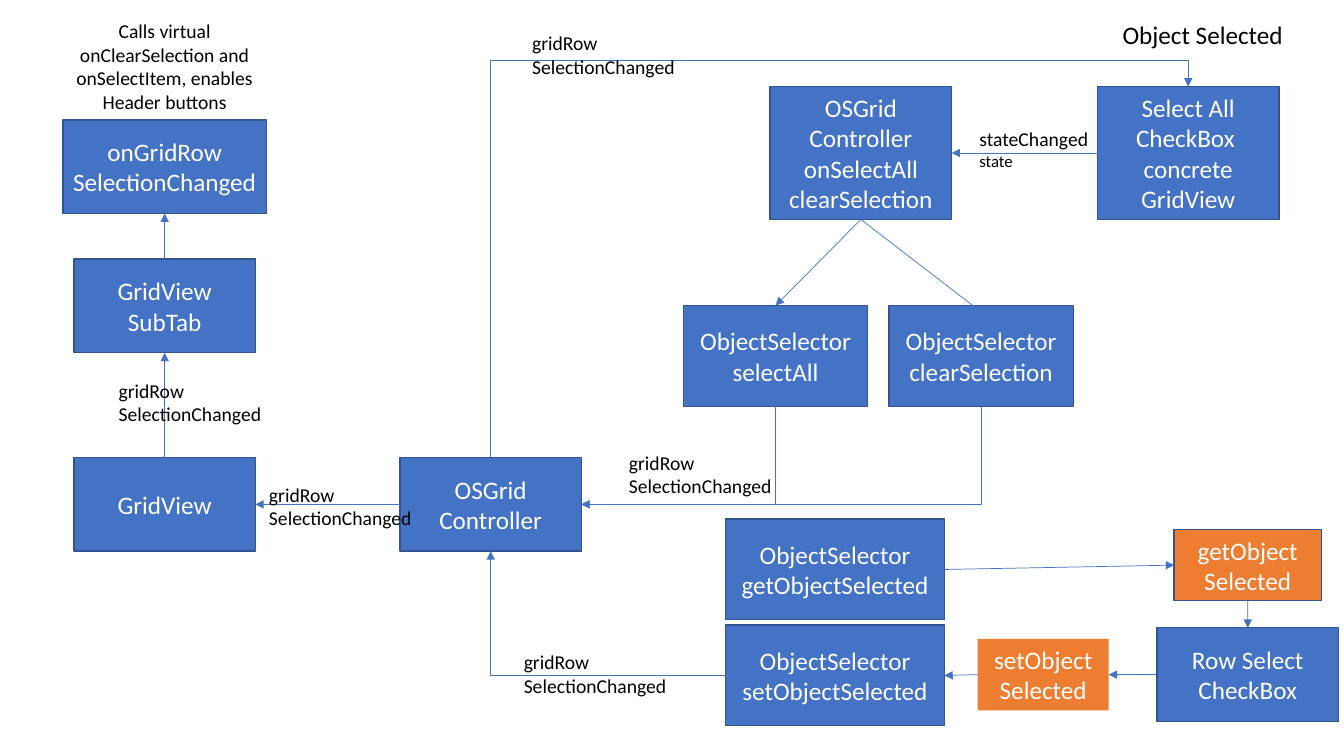
from pptx import Presentation
from pptx.dml.color import RGBColor as Rgb
from pptx.enum.shapes import MSO_CONNECTOR as Link, MSO_SHAPE as Shape
from pptx.enum.text import MSO_ANCHOR as Anchor, PP_ALIGN as Align
from pptx.oxml.ns import qn
from pptx.util import Cm, Pt
from lxml.etree import SubElement as Sub

BLUE = Rgb(0x44, 0x72, 0xC4)
EDGE = Rgb(0x32, 0x54, 0x91)
ORANGE = Rgb(0xED, 0x7D, 0x31)
WHITE = Rgb(0xFF, 0xFF, 0xFF)
BLACK = Rgb(0, 0, 0)
TOP, LEFT, BOTTOM, RIGHT = range(4)
WIDE, TALL = 4.57, 2.36
EVENT = "gridRow\nSelectionChanged"


def write(frame, text, size, color, align):
    """Fill a text frame and format its runs."""
    frame.text = text
    frame.word_wrap = True
    for para in frame.paragraphs:
        para.alignment = align
        for run in para.runs:
            run.font.name = "Calibri"
            run.font.size = Pt(size)
            run.font.color.rgb = color


def node(slide, text, x, y, w=WIDE, h=TALL, fill=BLUE, edge=EDGE):
    """Draw one filled box with centred text."""
    box = slide.shapes.add_shape(Shape.RECTANGLE, Cm(x), Cm(y), Cm(w), Cm(h))
    box.shadow.inherit = False
    box.fill.solid()
    box.fill.fore_color.rgb = fill
    if edge:
        box.line.color.rgb = edge
        box.line.width = Pt(1)
    else:
        box.line.fill.background()
    write(box.text_frame, text, 18, WHITE, Align.CENTER)
    box.text_frame.vertical_anchor = Anchor.MIDDLE
    return box


def label(slide, text, x, y, w=4.34, h=1.45, size=14, align=Align.LEFT):
    """Place a plain black text box."""
    box = slide.shapes.add_textbox(Cm(x), Cm(y), Cm(w), Cm(h))
    write(box.text_frame, text, size, BLACK, align)
    return box.text_frame


def arrow(slide, start, out, end, side, kind=Link.STRAIGHT):
    """Join two boxes with a thin arrow."""
    line = slide.shapes.add_connector(kind, 0, 0, 0, 0)
    line.begin_connect(start, out)
    if isinstance(end, tuple):
        line.end_x, line.end_y = map(Cm, end)
    else:
        line.end_connect(end, side)
    line.line.color.rgb = BLUE
    line.line.width = Pt(0.5)
    props = line._element.spPr
    Sub(props.find(qn("a:ln")), qn("a:tailEnd"), type="triangle")
    Sub(props, qn("a:effectLst"))
    return line


def bend(slide, start, out, end, side, turn, shift=None):
    """Join two boxes with an arrow of one corner, or two if shifted."""
    line = arrow(slide, start, out, end, side, Link.ELBOW)
    mid_x = (line.begin_x + line.end_x) // 2
    mid_y = (line.begin_y + line.end_y) // 2
    w, h = line.width, line.height
    if turn == 90:
        w, h = h, w
    line.left, line.top = mid_x - w // 2, mid_y - h // 2
    line.width, line.height = w, h
    props = line._element.spPr
    frame = props.find(qn("a:xfrm"))
    frame.set("rot", str(turn * 60000))
    for flip in ("flipH", "flipV"):
        frame.set(flip, "1" if shift else "0")
    geom = props.find(qn("a:prstGeom"))
    if shift:
        Sub(geom.find(qn("a:avLst")), qn("a:gd"),
            name="adj1", fmla=f"val {round(shift * 100000)}")
    else:
        geom.set("prst", "bentConnector2")


def column(slide, x, y, w):
    """Draw the grid view column and return its lowest box."""
    mid = x + w / 2
    steps = [("GridView", 11.17, WIDE), ("GridView SubTab", 6.17, WIDE),
             ("onGridRow SelectionChanged", 2.66, 5.13)]
    boxes = [node(slide, text, mid - wide / 2, y + drop, wide)
             for text, drop, wide in steps]
    for low, high in zip(boxes, boxes[1:]):
        arrow(slide, low, TOP, high, BOTTOM)
    label(slide, "Calls virtual onClearSelection and onSelectItem, "
          "enables Header buttons", x, y, w, 2.64, align=Align.CENTER)
    label(slide, EVENT, x + 1.65, y + 9.06)
    return boxes[0]


def select(slide, x, y, w):
    """Draw the select-all part and return its check box and selectors."""
    high = 3.35
    check = node(slide, "Select All\nCheckBox  concrete GridView",
                 x + w - WIDE, y, h=high)
    grid = node(slide, "OSGrid Controller onSelectAll clearSelection",
                x + 2.19, y, h=high)
    picks = [node(slide, f"ObjectSelector {name}", x + i * 5.18, y + 5.52,
                  4.65, 2.54)
             for i, name in enumerate(("selectAll", "clearSelection"))]
    arrow(slide, check, LEFT, grid, RIGHT)
    arrow(slide, grid, BOTTOM, picks[0], TOP)
    arrow(slide, grid, BOTTOM, (x + 7.75, y + 5.87), TOP)
    note = label(slide, "stateChanged\nstate", x + 7.21, y + 0.89, 3.68, 1.37)
    note.paragraphs[1].runs[0].font.size = Pt(12)
    return check, picks


def rows(slide, x, y, w):
    """Draw the row-select part and return the box that sets the state."""
    read, save = [node(slide, f"ObjectSelector {name}ObjectSelected",
                       x, y + i * 2.67, 5.51, 2.54)
                  for i, name in enumerate(("get", "set"))]
    getter = node(slide, "getObject\nSelected", x + 11.3, y + 0.26,
                  3.71, 1.8, ORANGE)
    check = node(slide, "Row Select\nCheckBox", x + w - WIDE, y + 2.74)
    setter = node(slide, "setObject Selected", x + 6.35, y + 3.02,
                  3.3, 1.8, ORANGE, None)
    arrow(slide, read, RIGHT, getter, LEFT)
    arrow(slide, getter, BOTTOM, check, TOP)
    arrow(slide, check, LEFT, setter, RIGHT)
    arrow(slide, setter, LEFT, save, RIGHT)
    return save


def hub(slide, x, y, view, check, picks, save):
    """Draw the controller and the events that pass through it."""
    core = node(slide, "OSGrid Controller", x, y)
    arrow(slide, core, LEFT, view, RIGHT)
    for pick in picks:
        bend(slide, pick, BOTTOM, core, RIGHT, 90)
    bend(slide, save, LEFT, core, BOTTOM, 180)
    bend(slide, core, TOP, check, TOP, 90, 1.07)
    for dx, dy in ((-3.55, 0.51), (5.52, -0.3), (2.87, 4.73), (3.08, -10.87)):
        label(slide, EVENT, x + dx, y + dy)


def main():
    """Build the slide and save it."""
    deck = Presentation()
    deck.slide_width, deck.slide_height = Cm(33.87), Cm(19.05)
    slide = deck.slides.add_slide(deck.slide_layouts[6])
    title = label(slide, "Object Selected", 28.04, 0.36, 4.75, 1.02, 18)
    title.word_wrap = False
    view = column(slide, 1.09, 0.36, 6.12)
    check, picks = select(slide, 17.22, 2.18, 15.01)
    save = rows(slide, 18.29, 13.08, 15.44)
    hub(slide, 10.08, 11.53, view, check, picks, save)
    deck.save("out.pptx")


if __name__ == "__main__":
    main()
